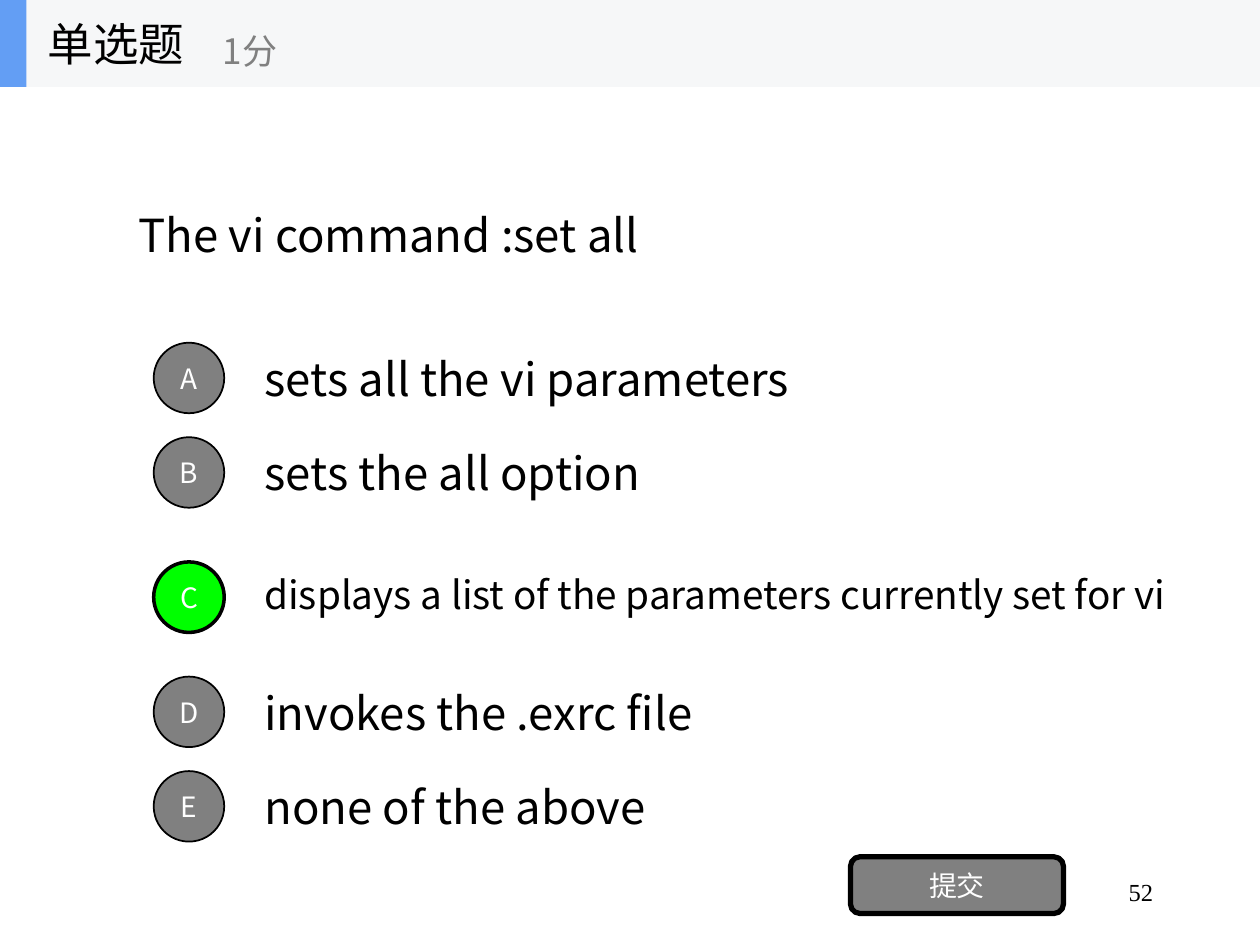
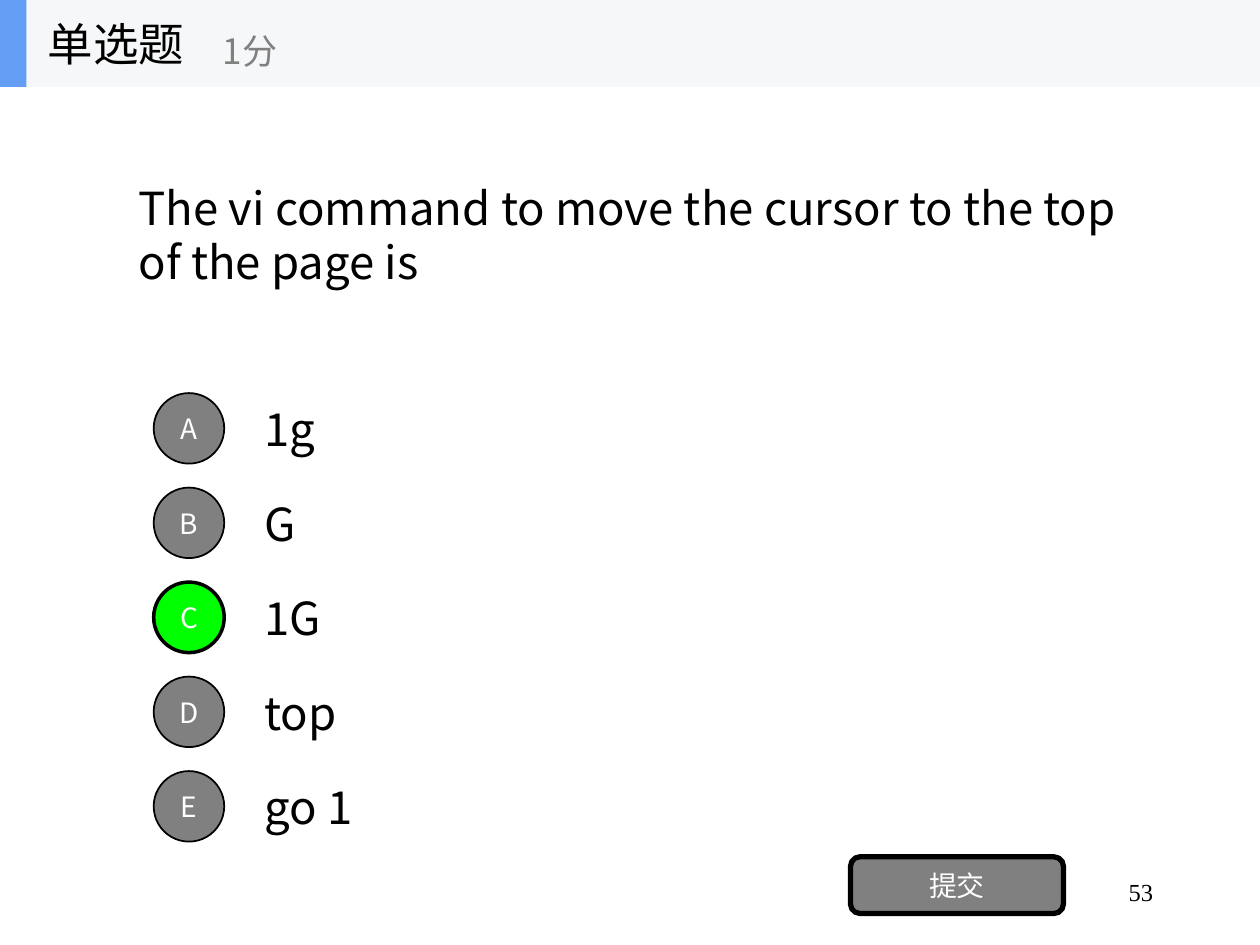
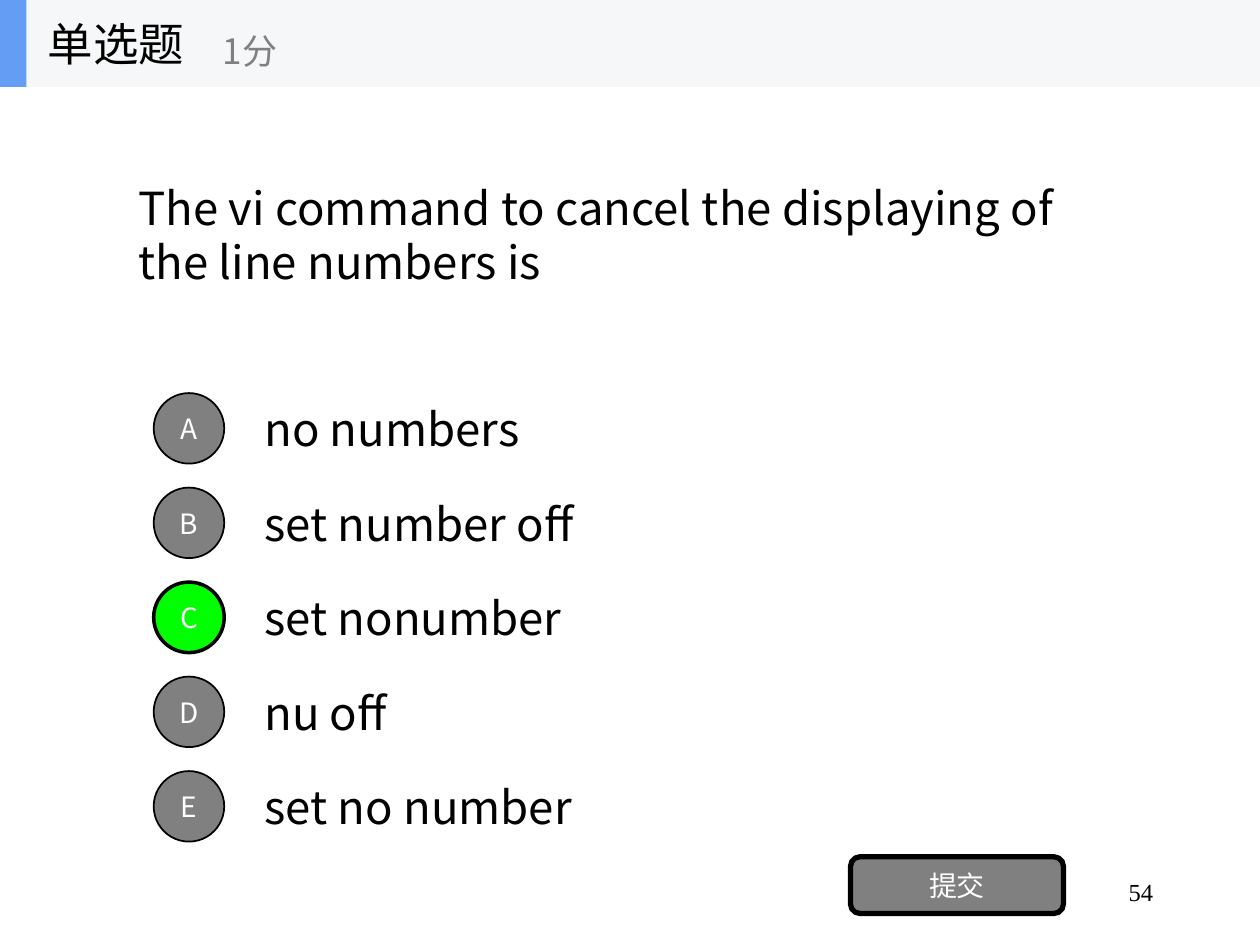
from dataclasses import dataclass
from typing import Any

import pptx
import pptx.dml.color
import pptx.enum.shapes
import pptx.enum.text
import pptx.oxml.ns
import pptx.util

PX = 9144
SANS = "Noto Sans CJK SC"
SERIF = "Times New Roman"
COLORS = {
    "ink": "000000",
    "paper": "FFFFFF",
    "grey": "808080",
    "correct": "00FF00",
    "band": "F6F7F8",
    "accent": "639EF4",
}
SHAPE = pptx.enum.shapes.MSO_SHAPE
ALIGN = pptx.enum.text.PP_ALIGN


@dataclass(frozen=True)
class Box:
    left: int
    top: int
    width: int
    height: int

    def emu(self) -> list[int]:
        return [n * PX for n in (self.left, self.top, self.width, self.height)]


@dataclass(frozen=True)
class Option:
    text: str
    top: int
    width: int = 700
    size: float = 26
    spacing: float | None = None


@dataclass(frozen=True)
class Question:
    number: int
    text: str
    options: list[Option]
    answer: str = "C"


def even_options(*texts: str) -> list[Option]:
    return [Option(text, 305 + 75 * i) for i, text in enumerate(texts)]


QUESTIONS = [
    Question(52, "The vi command :set all", [
        Option("sets all the vi parameters", 265),
        Option("sets the all option", 340),
        Option("displays a list of the parameters currently set for vi", 439,
               width=749, size=22.1, spacing=0.9),
        Option("invokes the .exrc file", 530),
        Option("none of the above", 605),
    ]),
    Question(53, "The vi command to move the cursor to the top of the page is",
             even_options("1g", "G", "1G", "top", "go 1")),
    Question(54, "The vi command to cancel the displaying of the line numbers is",
             even_options("no numbers", "set number off", "set nonumber", "nu off", "set no number")),
]


def rgb(name: str) -> pptx.dml.color.RGBColor:
    return pptx.dml.color.RGBColor.from_string(COLORS[name])


def write(sp: Any, text: str, *, size: float = 26, color: str = "ink", font: str = SANS,
          align: Any = ALIGN.LEFT, wrap: bool = True, spacing: float | None = None) -> None:
    tf = sp.text_frame
    tf.auto_size = pptx.enum.text.MSO_AUTO_SIZE.NONE
    tf.word_wrap = wrap
    tf.vertical_anchor = pptx.enum.text.MSO_ANCHOR.MIDDLE
    p = tf.paragraphs[0]
    p.alignment = align
    p.line_spacing = spacing
    r = p.add_run()
    r.text = text
    r.font.size = pptx.util.Pt(size)
    r.font.name = font
    r.font.color.rgb = rgb(color)
    latin = r.font._element.find(pptx.oxml.ns.qn("a:latin"))
    ea = pptx.oxml.parse_xml(f'<a:ea {pptx.oxml.ns.nsdecls("a")} typeface="{font}"/>')
    latin.addnext(ea)


def add_text(shapes: Any, box: Box, text: str, **style: Any) -> None:
    write(shapes.add_textbox(*box.emu()), text, **style)


def add_shape(shapes: Any, kind: Any, box: Box, fill: str, line: float = 0) -> Any:
    sp = shapes.add_shape(kind, *box.emu())
    sp.shadow.inherit = False
    sp.fill.solid()
    sp.fill.fore_color.rgb = rgb(fill)
    if line:
        sp.line.color.rgb = rgb("ink")
        sp.line.width = pptx.util.Pt(line)
    else:
        sp.line.fill.background()
    return sp


def add_button(shapes: Any, kind: Any, box: Box, text: str, fill: str, line: float) -> None:
    sp = add_shape(shapes, kind, box, fill, line)
    write(sp, text, size=16, color="paper", align=ALIGN.CENTER, wrap=False)


def add_header(shapes: Any) -> None:
    group = shapes.add_group_shape().shapes
    add_shape(group, SHAPE.RECTANGLE, Box(0, 0, 1000, 69), "band")
    add_shape(group, SHAPE.RECTANGLE, Box(0, 0, 21, 69), "accent")
    add_text(group, Box(28, 0, 208, 69), "单选题")
    add_text(group, Box(167, 12, 250, 56), "1分", size=20, color="grey")


def add_question(prs: Any, question: Question) -> None:
    shapes = prs.slides.add_slide(prs.slide_layouts[5]).shapes
    title = shapes.title
    title.left, title.top, title.width, title.height = Box(100, 69, 800, 234).emu()
    write(title, question.text)
    add_text(shapes, Box(717, 683, 208, 50), str(question.number),
             size=14, font=SERIF, align=ALIGN.RIGHT)
    for letter, option in zip("ABCDE", question.options):
        add_text(shapes, Box(200, option.top, option.width, 70), option.text,
                 size=option.size, spacing=option.spacing)
        fill, line = ("correct", 2) if letter == question.answer else ("grey", 1)
        add_button(shapes, SHAPE.OVAL, Box(122, option.top + 7, 56, 56), letter, fill, line)
    add_button(shapes, SHAPE.ROUNDED_RECTANGLE, Box(675, 680, 169, 45), "提交", "grey", 3)
    add_header(shapes)


def main() -> None:
    prs = pptx.Presentation()
    prs.slide_width, prs.slide_height = 1000 * PX, 750 * PX
    for question in QUESTIONS:
        add_question(prs, question)
    prs.save("out.pptx")


if __name__ == "__main__":
    main()
